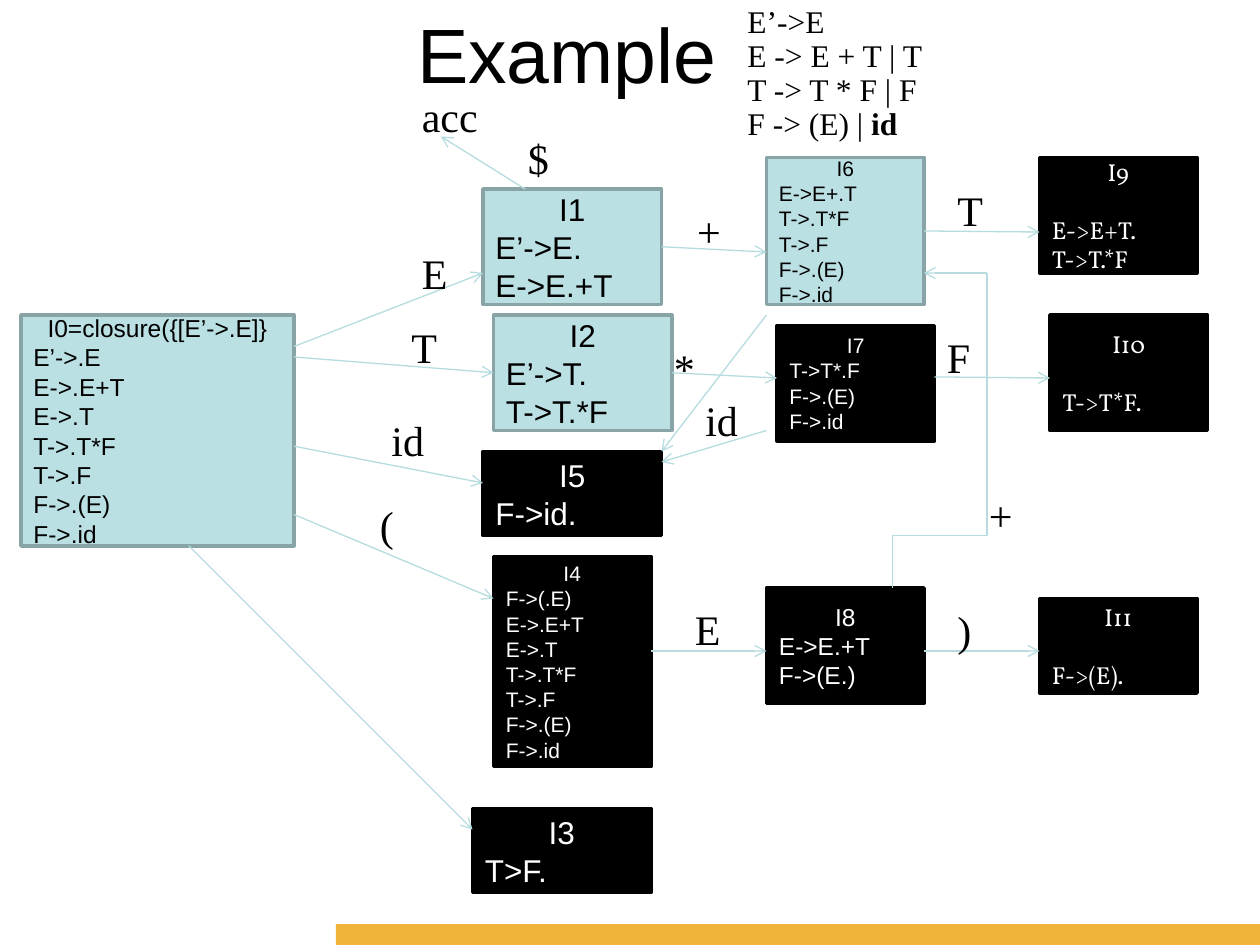
from dataclasses import dataclass

from lxml.etree import SubElement
from pptx import Presentation
from pptx.dml.color import RGBColor as RGB
from pptx.enum.shapes import MSO_CONNECTOR as Route, MSO_SHAPE as Preset
from pptx.enum.text import MSO_ANCHOR as Anchor, MSO_AUTO_SIZE as Fit, PP_ALIGN as Align
from pptx.oxml.ns import qn
from pptx.util import Cm, Pt


@dataclass(frozen=True)
class Theme:
    ink = RGB(0, 0, 0)
    paper = RGB(0xFF, 0xFF, 0xFF)
    state = RGB(0xBB, 0xE0, 0xE3)
    state_edge = RGB(0x89, 0xA4, 0xA7)
    arrow = RGB(0xB6, 0xDC, 0xDF)
    bar = RGB(0xF1, 0xB4, 0x3B)
    sans, serif, book = "Arial", "Times New Roman", "Vollkorn"
    title, label, grammar = Pt(44), Pt(24), Pt(18)
    large, medium, small = Pt(18), Pt(14), Pt(12)
    edge_width, arrow_width = Pt(2), Pt(0.75)
    grammar_spacing = 0.9
    heading_gap = Pt(16.5)


THEME = Theme()

# All places are in grid steps of a twelfth of an inch.
TITLE = ("Example", (0, 0, 108, 15))
GRAMMAR_AT = (70, 0, 50, 14.2)
GRAMMAR = ["E’->E", "E -> E + T | T", "T -> T * F | F", "F -> (E) | "]
TERMINAL = "id"
BAR_AT = (32, 88, 88, 2)

# heading, place, size, items
LIGHT_STATES = [
    ("I0=closure({[E’->.E]}", (2, 30, 26, 22), THEME.medium,
     ["E’->.E", "E->.E+T", "E->.T", "T->.T*F", "T->.F", "F->.(E)", "F->.id"]),
    ("I1", (46, 18, 17, 11), THEME.large, ["E’->E.", "E->E.+T"]),
    ("I2", (47, 30, 17, 11), THEME.large, ["E’->T.", "T->T.*F"]),
    ("I6", (73, 15, 15, 14), THEME.small,
     ["E->E+.T", "T->.T*F", "T->.F", "F->.(E)", "F->.id"]),
]
DARK_STATES = [
    ("I4", (47, 53, 15, 20), THEME.small,
     ["F->(.E)", "E->.E+T", "E->.T", "T->.T*F", "T->.F", "F->.(E)", "F->.id"]),
    ("I5", (46, 43, 17, 8), THEME.large, ["F->id."]),
    ("I3", (45, 77, 17, 8), THEME.large, ["T>F."]),
    ("I7", (74, 31, 15, 11), THEME.small, ["T->T*.F", "F->.(E)", "F->.id"]),
    ("I8", (73, 56, 15, 11), THEME.medium, ["E->E.+T", "F->(E.)"]),
]
FINAL_STATES = [
    ("I11", (99, 57, 15, 9), THEME.medium, ["F->(E)."]),
    ("I9", (99, 15, 15, 11), THEME.medium, ["E->E+T.", "T->T.*F"]),
    ("I10", (100, 30, 15, 11), THEME.medium, ["T->T*F."]),
]
ARROWS = [
    ((28, 33), (46, 26)), ((28, 34), (47, 35.5)), ((28, 49), (47, 57)),
    ((28, 42.5), (46, 46)), ((18, 52), (45, 79)), ((63, 23.5), (73, 24)),
    ((64, 35.5), (74, 36)), ((62, 62), (73, 62)), ((88, 62), (99, 62)),
    ((88, 22), (99, 22.1)), ((89, 35.9), (100, 36)), ((73, 41), (63, 44)),
    ((73, 30), (63, 43)), ((94, 26), (88, 26)), ((50, 18), (42, 13)),
]
RETURN_ELBOW = ((85, 56), (94, 46))
RETURN_RISE = ((94, 46), (94, 26))
SYMBOLS = [
    ("E", 39, 23), ("T", 38, 30), ("(", 35, 47), ("id", 36.1, 38.9),
    ("+", 65.2, 19), ("*", 63, 32), ("E", 65, 56.9), (")", 90, 57),
    ("T", 90, 17), ("F", 89, 31), ("id", 66, 37), ("+", 93, 46),
    ("$", 49.1, 12), ("acc", 39, 8),
]
SYMBOL_WIDTHS = {"E": 4.8, "T": 4.8, "F": 4.6, "(": 3.7, ")": 3.7, "id": 5.5,
                 "+": 4.7, "*": 4.3, "$": 4.3, "acc": 7.7}
SYMBOL_HEIGHT = 6


def grid(*steps):
    return [Cm(step * 2.54 / 12) for step in steps]


def write(frame, lines, face, size, color, spacing=None):
    for index, line in enumerate(lines):
        para = frame.paragraphs[0] if index == 0 else frame.add_paragraph()
        para.add_run().text = line
        para.alignment = Align.LEFT
        para.line_spacing = spacing
        para.font.name, para.font.size = face, size
        para.font.color.rgb = color


def add_box(slide, place, fill, edge=None):
    box = slide.shapes.add_shape(Preset.RECTANGLE, *grid(*place))
    box.shadow.inherit = False
    box.fill.solid()
    box.fill.fore_color.rgb = fill
    if edge is None:
        box.line.fill.background()
    else:
        box.line.color.rgb = edge
        box.line.width = THEME.edge_width
    return box


def add_state(slide, state, fill, edge, ink, face, gap=None):
    heading, place, size, items = state
    frame = add_box(slide, place, fill, edge).text_frame
    frame.word_wrap = True
    frame.vertical_anchor = Anchor.MIDDLE
    write(frame, [heading, *items], face, size, ink)
    frame.paragraphs[0].alignment = Align.CENTER
    frame.paragraphs[0].space_after = gap


def add_text(slide, place, lines, face, size, spacing=None, wrap=True):
    frame = slide.shapes.add_textbox(*grid(*place)).text_frame
    frame.word_wrap = wrap
    write(frame, lines, face, size, THEME.ink, spacing)
    return frame


def add_line(slide, start, end, head=True, route=Route.STRAIGHT):
    line = slide.shapes.add_connector(route, *grid(*start, *end))
    line.line.color.rgb = THEME.arrow
    line.line.width = THEME.arrow_width
    if head:
        SubElement(line.line._get_or_add_ln(), qn("a:tailEnd"), type="arrow")
    SubElement(line._element.spPr, qn("a:effectLst"))
    return line


def add_upright_elbow(slide, start, end):
    """Elbow that leaves and arrives vertically: a level one turned by 90 degrees."""
    (x1, y1), (x2, y2) = start, end
    mid_x, mid_y = (x1 + x2) / 2, (y1 + y2) / 2
    half_w, half_h = (y1 - y2) / 2, (x2 - x1) / 2
    elbow = add_line(slide, (mid_x + half_w, mid_y + half_h),
                     (mid_x - half_w, mid_y - half_h), False, Route.ELBOW)
    elbow._element.spPr.find(qn("a:xfrm")).set("rot", str(90 * 60000))


def main():
    deck = Presentation()
    deck.slide_width, deck.slide_height = Cm(25.4), Cm(19.05)
    slide = deck.slides.add_slide(deck.slide_layouts[6])

    add_box(slide, BAR_AT, THEME.bar)
    title, title_at = TITLE
    heading = add_text(slide, title_at, [title], THEME.sans, THEME.title)
    heading.paragraphs[0].alignment = Align.CENTER
    grammar = add_text(slide, GRAMMAR_AT, GRAMMAR, THEME.serif, THEME.grammar,
                       THEME.grammar_spacing)
    terminal = grammar.paragraphs[-1].add_run()
    terminal.text = TERMINAL
    terminal.font.bold = True

    for state in LIGHT_STATES:
        add_state(slide, state, THEME.state, THEME.state_edge, THEME.ink, THEME.sans)
    for state in DARK_STATES:
        add_state(slide, state, THEME.ink, THEME.ink, THEME.paper, THEME.sans)
    for state in FINAL_STATES:
        add_state(slide, state, THEME.ink, THEME.ink, THEME.paper, THEME.book,
                  THEME.heading_gap)

    for start, end in ARROWS:
        add_line(slide, start, end)
    add_upright_elbow(slide, *RETURN_ELBOW)
    add_line(slide, *RETURN_RISE, head=False)

    for symbol, left, top in SYMBOLS:
        place = (left, top, SYMBOL_WIDTHS[symbol], SYMBOL_HEIGHT)
        label = add_text(slide, place, [symbol], THEME.serif, THEME.label, wrap=False)
        label.auto_size = Fit.SHAPE_TO_FIT_TEXT

    deck.save("out.pptx")


if __name__ == "__main__":
    main()
